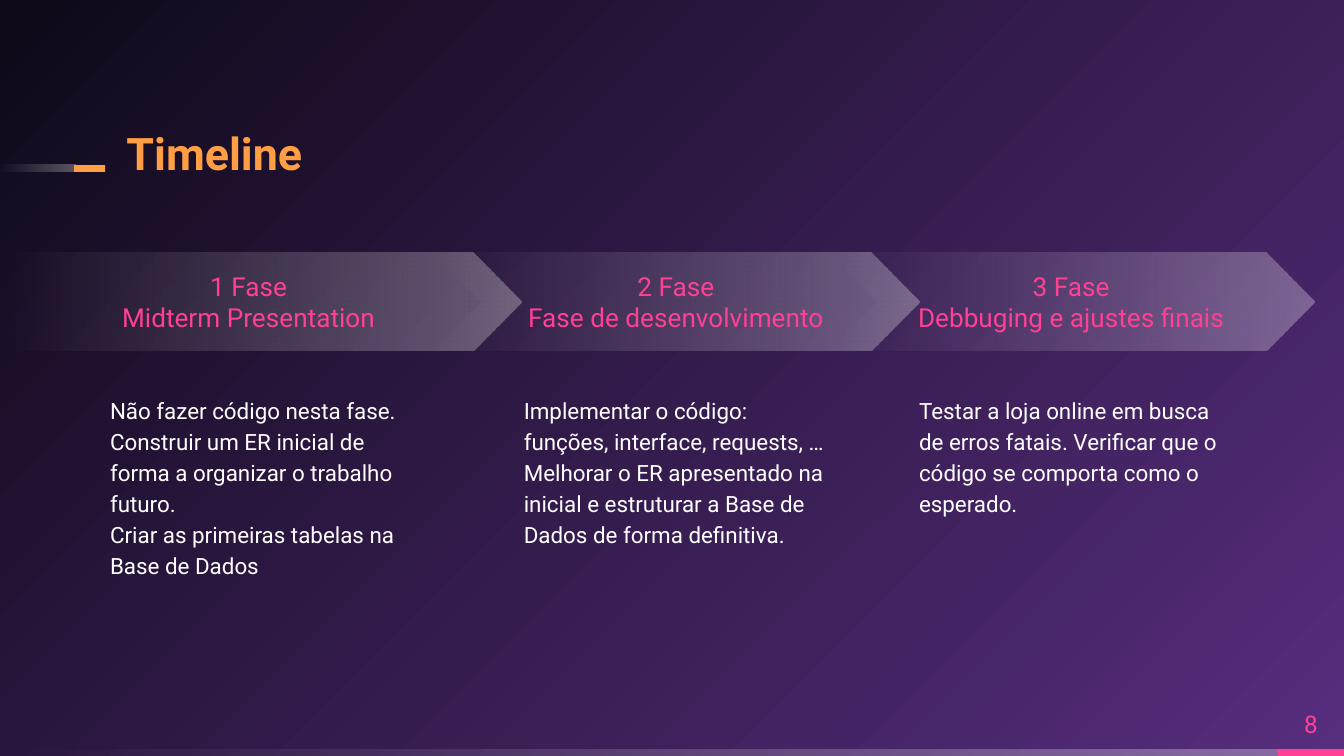
from pptx import Presentation
from pptx.dml.color import RGBColor
from pptx.enum.shapes import MSO_SHAPE as SHAPE
from pptx.enum.text import MSO_ANCHOR as ANCHOR, PP_ALIGN as ALIGN
from pptx.oxml import parse_xml
from pptx.oxml.ns import nsdecls, qn
from pptx.util import Cm, Pt

W, H = 25.4, 14.29
PINK, ORANGE, WHITE = "FF4093", "FF9E44", "FFFFFF"
FADE = [(0, WHITE, 30), (100, WHITE, 0)]
LEFTWARD = '<a:lin ang="10800000" scaled="0"/>'
FROM_CORNER = '<a:path path="circle"><a:fillToRect l="100000" t="100000"/></a:path>'
PHASES = [
    (["1 Fase", "Midterm Presentation"],
     ["Não fazer código nesta fase.",
      "Construir um ER inicial de forma a organizar o trabalho futuro.",
      "Criar as primeiras tabelas na Base de Dados"]),
    (["2 Fase", "Fase de desenvolvimento"],
     ["Implementar o código: funções, interface, requests, …",
      "Melhorar o ER apresentado na inicial e estruturar a Base de Dados de forma definitiva."]),
    (["3 Fase", "Debbuging e ajustes finais"],
     ["Testar a loja online em busca de erros fatais. "
      "Verificar que o código se comporta como o esperado."]),
]


def color(value):
    """Turn a hex string into a colour."""
    return RGBColor.from_string(value)


def set_gradient(props, stops, direction):
    """Replace the solid fill in a properties element with a gradient."""
    gs = "".join(
        f'<a:gs pos="{pos * 1000}"><a:srgbClr val="{value}">'
        f'<a:alpha val="{alpha * 1000}"/></a:srgbClr></a:gs>'
        for pos, value, alpha in stops)
    grad = parse_xml(f'<a:gradFill {nsdecls("a")} rotWithShape="1">'
                     f'<a:gsLst>{gs}</a:gsLst>{direction}</a:gradFill>')
    props.replace(props.find(qn("a:solidFill")), grad)


def write(sp, lines, size=12, fill=WHITE, bold=False, align=ALIGN.LEFT,
          anchor=ANCHOR.TOP, spacing=1.0, margin=0.25):
    """Write one paragraph per line into a shape."""
    tf = sp.text_frame
    tf.word_wrap = True
    tf.vertical_anchor = anchor
    tf.margin_left = tf.margin_top = tf.margin_right = tf.margin_bottom = Cm(margin)
    for i, line in enumerate(lines):
        p = tf.add_paragraph() if i else tf.paragraphs[0]
        p.alignment, p.line_spacing = align, spacing
        r = p.add_run()
        r.text = line
        r.font.name, r.font.size, r.font.bold = "Roboto", Pt(size), bold
        r.font.color.rgb = color(fill)


def add_shape(s, kind, box, fill=None):
    """Add a borderless shape, solid when a fill is given and fading otherwise."""
    sp = s.shapes.add_shape(kind, *map(Cm, box))
    sp.shadow.inherit = False
    sp.line.fill.background()
    sp.fill.solid()
    sp.fill.fore_color.rgb = color(fill or WHITE)
    if not fill:
        set_gradient(sp.element.spPr, FADE, LEFTWARD)
    return sp


def add_background(s):
    """Fill the slide with a glow from its lower right corner."""
    s.background.fill.solid()
    set_gradient(s.element.find(".//" + qn("p:bgPr")),
                 [(0, "572D7E", 100), (100, "0E0918", 100)], FROM_CORNER)


def add_title(s, text, box):
    """Place the title with its leading dash."""
    left, top, width, height = box
    add_shape(s, SHAPE.RECTANGLE, (0, 3.12, 1.42, 0.13))
    add_shape(s, SHAPE.RECTANGLE, (1.4, 3.12, 0.59, 0.13), ORANGE)
    title = s.shapes.title
    title.left, title.top, title.width, title.height = map(Cm, box)
    write(title, [text], size=24, fill=ORANGE, bold=True,
          anchor=ANCHOR.BOTTOM, spacing=0.9, margin=0)


def add_footer(s, number, box):
    """Place the bottom bar with the page number above its end."""
    left, top, width, height = box
    tab = 1.25
    add_shape(s, SHAPE.RECTANGLE, (left, top, width - tab + 0.08, height))
    add_shape(s, SHAPE.RECTANGLE, (left + width - tab, top, tab, height), PINK)
    tb = s.shapes.add_textbox(Cm(left + width - tab), Cm(top - 0.97), Cm(tab), Cm(0.97))
    write(tb, [number], size=13, fill=PINK, align=ALIGN.CENTER,
          anchor=ANCHOR.MIDDLE, margin=0)


def add_phase(s, kind, heading, body, box, indent):
    """Place an arrow with its heading and the description below it."""
    left, top, width, height = box
    arrow = add_shape(s, kind, box)
    write(arrow, heading, size=14, fill=PINK, align=ALIGN.CENTER, anchor=ANCHOR.MIDDLE)
    tb = s.shapes.add_textbox(Cm(left + indent), Cm(top + 2.41), Cm(6.22), Cm(5))
    write(tb, body, spacing=1.15)


def add_timeline(s, phases, box):
    """Place the first phase as a pentagon and the rest as evenly spaced chevrons."""
    left, top, width, height = box
    chevron, step = 9.19, 7.47
    for i, (heading, body) in enumerate(phases):
        if i == 0:
            add_phase(s, SHAPE.PENTAGON, heading, body, (left, top, 9.86, height), 1.83)
        else:
            x = left + width - chevron - (len(phases) - 1 - i) * step
            add_phase(s, SHAPE.CHEVRON, heading, body, (x, top, chevron, height), 1.47)


def main():
    """Build and save the slide."""
    prs = Presentation()
    prs.slide_width, prs.slide_height = Cm(W), Cm(H)
    s = prs.slides.add_slide(prs.slide_layouts[5])
    add_background(s)
    add_footer(s, "8", (0, H - 0.13, W, 0.13))
    add_title(s, "Timeline", (2.39, 2.31, 14.73, 1.09))
    add_timeline(s, PHASES, (0, 4.78, 24.84, 1.85))
    prs.save("out.pptx")


if __name__ == "__main__":
    main()
